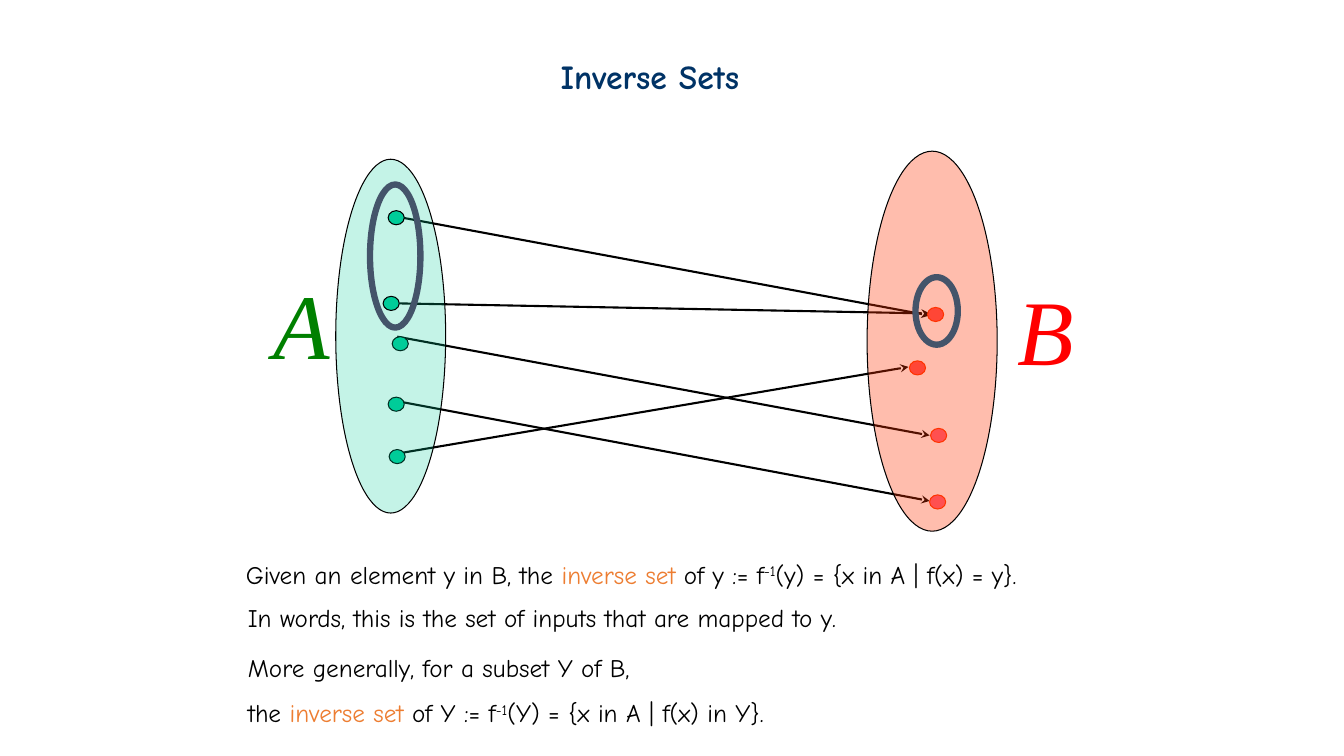
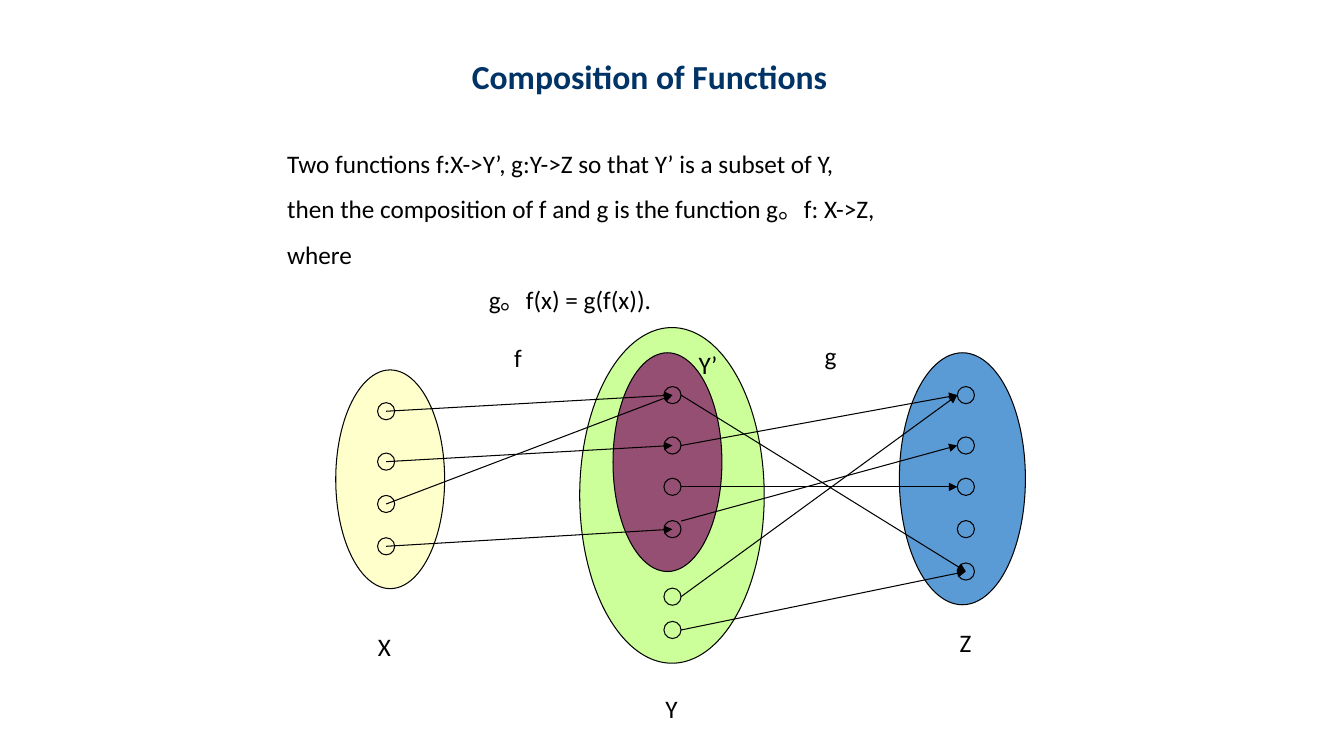
"""Build two slides on inverse sets and composition of functions."""
from pptx import Presentation
from pptx.dml.color import RGBColor
from pptx.enum import shapes, text
from pptx.oxml import ns, xmlchemy
from pptx.util import Inches, Pt

BLACK = RGBColor(0x00, 0x00, 0x00)
NAVY = RGBColor(0x00, 0x33, 0x66)
ORANGE = RGBColor(0xED, 0x7D, 0x31)
SLATE = RGBColor(0x44, 0x54, 0x6A)
TEAL = RGBColor(0x00, 0xCC, 0x99)
CORAL = RGBColor(0xFF, 0x50, 0x50)
VERMILION = RGBColor(0xFF, 0x33, 0x00)
GREEN = RGBColor(0x00, 0x80, 0x00)
RED = RGBColor(0xFF, 0x00, 0x00)
LIME = RGBColor(0xCC, 0xFF, 0x99)
CREAM = RGBColor(0xFF, 0xFF, 0xCC)
PLUM = RGBColor(0x95, 0x4F, 0x72)
BLUE = RGBColor(0x5B, 0x9B, 0xD5)

COMIC, SANS, SERIF = "Comic Neue", "Calibri", "Times New Roman"
TERM, SUPER = "term", "super"
TITLE_ONLY = 5


def set_font(span, color, **values):
    """Apply font values and a colour to a run."""
    for name, value in values.items():
        setattr(span.font, name, value)
    span.font.color.rgb = color


def add_title(page, left, words, font):
    """Fill the title placeholder in the shared title style."""
    title = page.shapes.title
    place = {"left": left, "top": 0.5, "width": 4, "height": 0.5}
    for name, value in place.items():
        setattr(title, name, Inches(value))
    frame = title.text_frame
    frame.auto_size = text.MSO_AUTO_SIZE.NONE
    frame.vertical_anchor = text.MSO_ANCHOR.TOP
    para = frame.paragraphs[0]
    para.alignment = text.PP_ALIGN.LEFT
    span = para.add_run()
    span.text = words
    set_font(span, NAVY, name=font, size=Pt(24), bold=True)


def add_text(page, place, paragraphs, font, size=18, color=BLACK, italic=None):
    """Add a text box; each paragraph is a list of (words, role) runs."""
    box = page.shapes.add_textbox(*map(Inches, place))
    frame = box.text_frame
    frame.word_wrap = True
    for index, runs in enumerate(paragraphs):
        para = frame.add_paragraph() if index else frame.paragraphs[0]
        if index:
            para.line_spacing = 1.5
        for words, role in runs:
            span = para.add_run()
            span.text = words
            set_font(span, ORANGE if role == TERM else color,
                     name=font, size=Pt(size), italic=italic)
            if role == SUPER:
                span.font._element.set("baseline", "30000")
    return frame


def add_label(page, left, top, words, width=0.4):
    """Add a small plain label."""
    add_text(page, (left, top, width, 0.4), [[(words, None)]], SANS)


def add_ellipse(page, place, fill=None, line=BLACK, weight=0.75, opacity=None):
    """Add an ellipse, optionally filled and translucent."""
    oval = page.shapes.add_shape(shapes.MSO_SHAPE.OVAL, *map(Inches, place))
    oval.shadow.inherit = False
    oval.line.color.rgb = line
    oval.line.width = Pt(weight)
    if fill is None:
        oval.fill.background()
        return
    oval.fill.solid()
    oval.fill.fore_color.rgb = fill
    if opacity:
        tint = next(oval._element.spPr.iter(ns.qn("a:srgbClr")))
        alpha = xmlchemy.OxmlElement("a:alpha")
        alpha.set("val", str(opacity * 1000))
        tint.append(alpha)


def add_dots(page, corners, fill, line=BLACK):
    """Add set elements at the given top-left corners."""
    for left, top in corners:
        add_ellipse(page, (left, top, 0.16, 0.14), fill, line)


def add_arrow(page, start, end, weight, head):
    """Add a straight black arrow."""
    arrow = page.shapes.add_connector(
        shapes.MSO_CONNECTOR.STRAIGHT, *map(Inches, (*start, *end)))
    arrow.line.color.rgb = BLACK
    arrow.line.width = Pt(weight)
    props = arrow._element.spPr
    tip = xmlchemy.OxmlElement("a:tailEnd")
    tip.set("type", head)
    props.find(ns.qn("a:ln")).append(tip)
    props.append(xmlchemy.OxmlElement("a:effectLst"))


def build_inverse_sets(page):
    """Draw the mapping from A to B and define inverse sets."""
    add_title(page, 5.46, "Inverse Sets", COMIC)
    for start, end in (((3.94, 2.15), (9.22, 3.13)),
                       ((3.96, 3.01), (9.22, 3.11)),
                       ((3.94, 3.34), (9.22, 4.32)),
                       ((3.94, 3.98), (9.22, 4.97)),
                       ((3.94, 4.5), (9.01, 3.64))):
        add_arrow(page, start, end, 1.5, "stealth")
    add_dots(page, ((3.89, 3.34), (3.85, 3.94), (3.86, 4.46)), TEAL)
    add_ellipse(page, (3.33, 1.58, 1.09, 3.51), TEAL, opacity=23)
    add_dots(page, ((9.02, 3.58), (9.2, 3.05)), CORAL, VERMILION)
    add_ellipse(page, (8.6, 1.5, 1.29, 3.77), VERMILION, opacity=32)
    add_dots(page, ((9.23, 4.25), (9.22, 4.91)), CORAL, VERMILION)
    for left, top, name, color in ((2.61, 2.6, "A", GREEN),
                                   (9.99, 2.66, "B", RED)):
        add_text(page, (left, top, 0.76, 1.2), [[(name, None)]],
                 SERIF, 66, color, True)
    add_dots(page, ((3.85, 2.09), (3.8, 2.94)), TEAL)
    add_text(page, (2.34, 5.5, 8.57, 0.4), [[
        ("Given an element y in B, the ", None), ("inverse set", TERM),
        (" of y := f", None), ("-1", SUPER),
        ("(y) = {x in A | f(x) = y}.", None)]], COMIC)
    for ring in ((9.08, 2.75, 0.42, 0.67), (3.67, 1.83, 0.5, 1.42)):
        add_ellipse(page, ring, line=SLATE, weight=4.5)
    add_text(page, (2.36, 5.93, 6.72, 0.4), [[
        ("In words, this is the set of inputs that are mapped to y.", None)]],
        COMIC)
    add_text(page, (2.36, 6.42, 5.97, 0.86), [
        [("More generally, for a subset Y of B,", None)],
        [("the ", None), ("inverse set ", TERM), ("of Y := f", None),
         ("-1", SUPER), ("(Y) = {x in A | f(x) in Y}.", None)]], COMIC)


def build_composition(page):
    """Define composition and draw f from X to Y and g from Y to Z."""
    add_ellipse(page, (5.75, 3.25, 1.83, 3.33), LIME)
    add_title(page, 4.58, "Composition of Functions", SANS)
    frame = add_text(page, (2.75, 1.42, 6.82, 1.75), [
        [("Two functions f:X->Y’, g:Y->Z so that Y’ is a subset of Y,", None)],
        [("then the composition of f and g is the function g。f: X->Z,", None)],
        [("where", None)],
        [("g。f(x) = g(f(x)).", None)]], SANS)
    formula = frame.paragraphs[-1]._p.get_or_add_pPr()
    formula.set("marL", str(Inches(2)))
    for place, fill in (((3.33, 3.67, 1.08, 2.17), CREAM),
                        ((6.08, 3.5, 1.08, 2.17), PLUM),
                        ((8.92, 3.5, 1.25, 2.5), BLUE)):
        add_ellipse(page, place, fill)
    for left, top, name in ((3.65, 6.21, "X"), (6.5, 6.83, "Y"),
                            (9.42, 6.17, "Z")):
        add_label(page, left, top, name)

    x_mid, y_mid, z_mid = 3.83, 6.67, 9.58
    dot, radius = 0.17, 0.085
    x_rows = (4.08, 4.58, 5, 5.42)
    y_rows = (3.92, 4.42, 4.83, 5.25, 5.92, 6.25)
    z_rows = (3.92, 4.42, 4.83, 5.25, 5.67)
    for mid, rows in ((x_mid, x_rows), (y_mid, y_rows), (z_mid, z_rows)):
        for row in rows:
            add_ellipse(page, (mid - radius, row - radius, dot, dot))
    for source, target in ((0, 0), (1, 1), (2, 0), (3, 3)):
        add_arrow(page, (x_mid, x_rows[source]), (y_mid, y_rows[target]),
                  0.75, "triangle")
    y_edge, z_edge = y_mid + radius, z_mid - radius
    for start, end_x, target in ((3.92, z_mid, 4), (4.42, z_edge, 0),
                                 (4.83, z_edge, 2), (5.17, z_edge, 1),
                                 (5.92, z_edge, 0), (6.25, z_mid, 4)):
        add_arrow(page, (y_edge, start), (end_x, z_rows[target]),
                  0.75, "triangle")
    for left, top, name in ((6.83, 3.42, "Y’"), (5, 3.35, "f"),
                            (8.08, 3.33, "g")):
        add_label(page, left, top, name, 0.45)


def main():
    """Build and save the deck."""
    deck = Presentation()
    deck.slide_width, deck.slide_height = Inches(13.33), Inches(7.5)
    for build in (build_inverse_sets, build_composition):
        build(deck.slides.add_slide(deck.slide_layouts[TITLE_ONLY]))
    deck.save("out.pptx")


if __name__ == "__main__":
    main()
